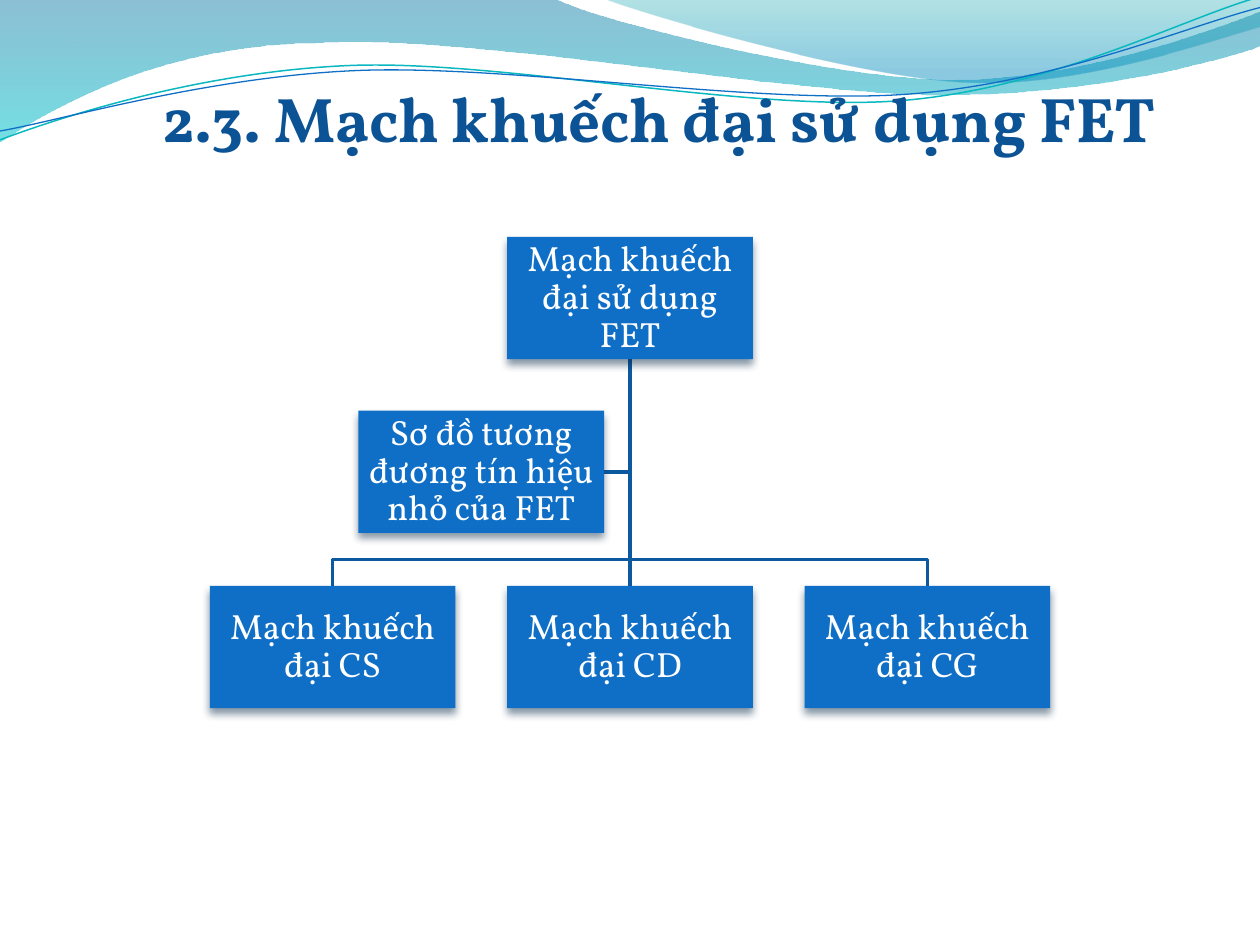
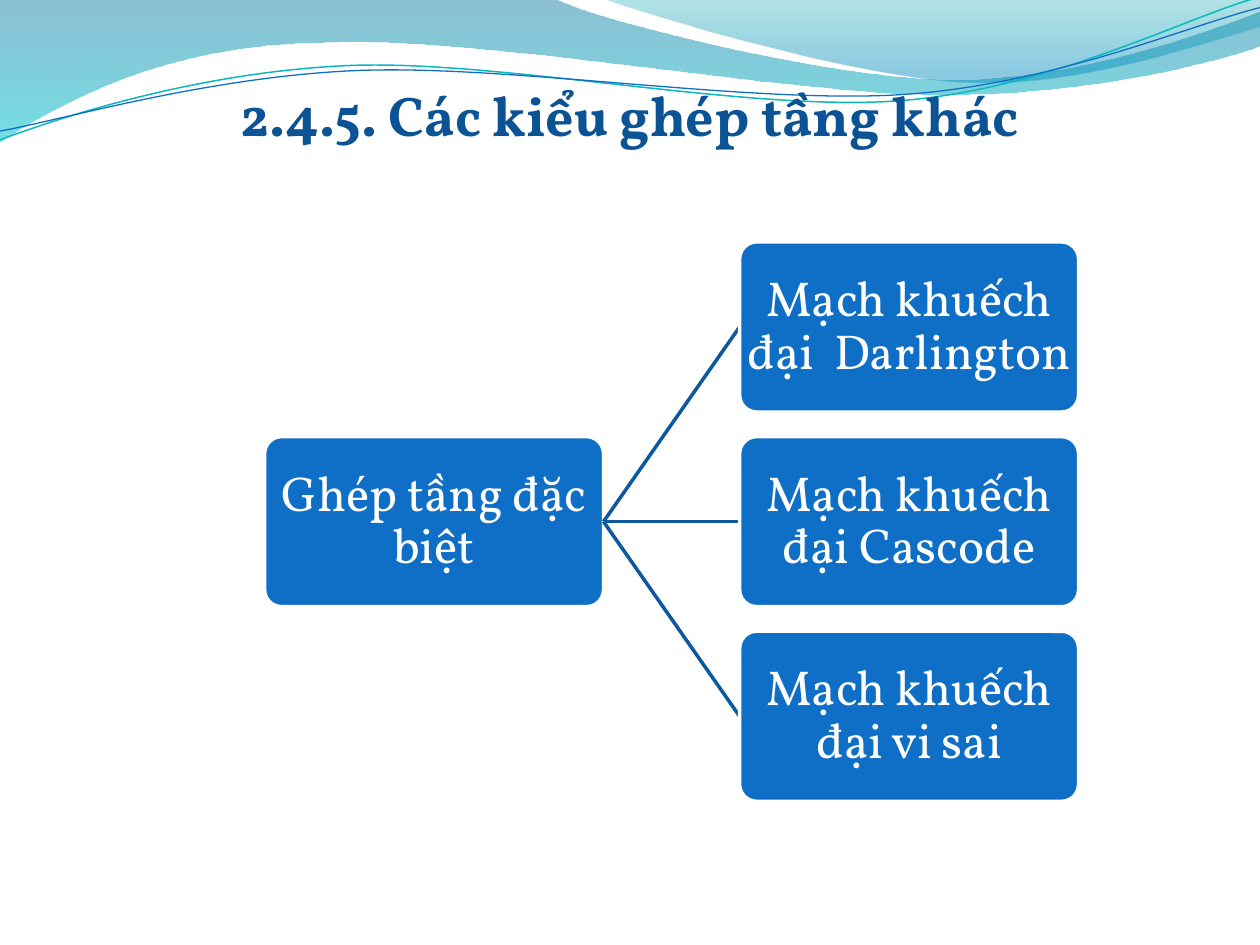
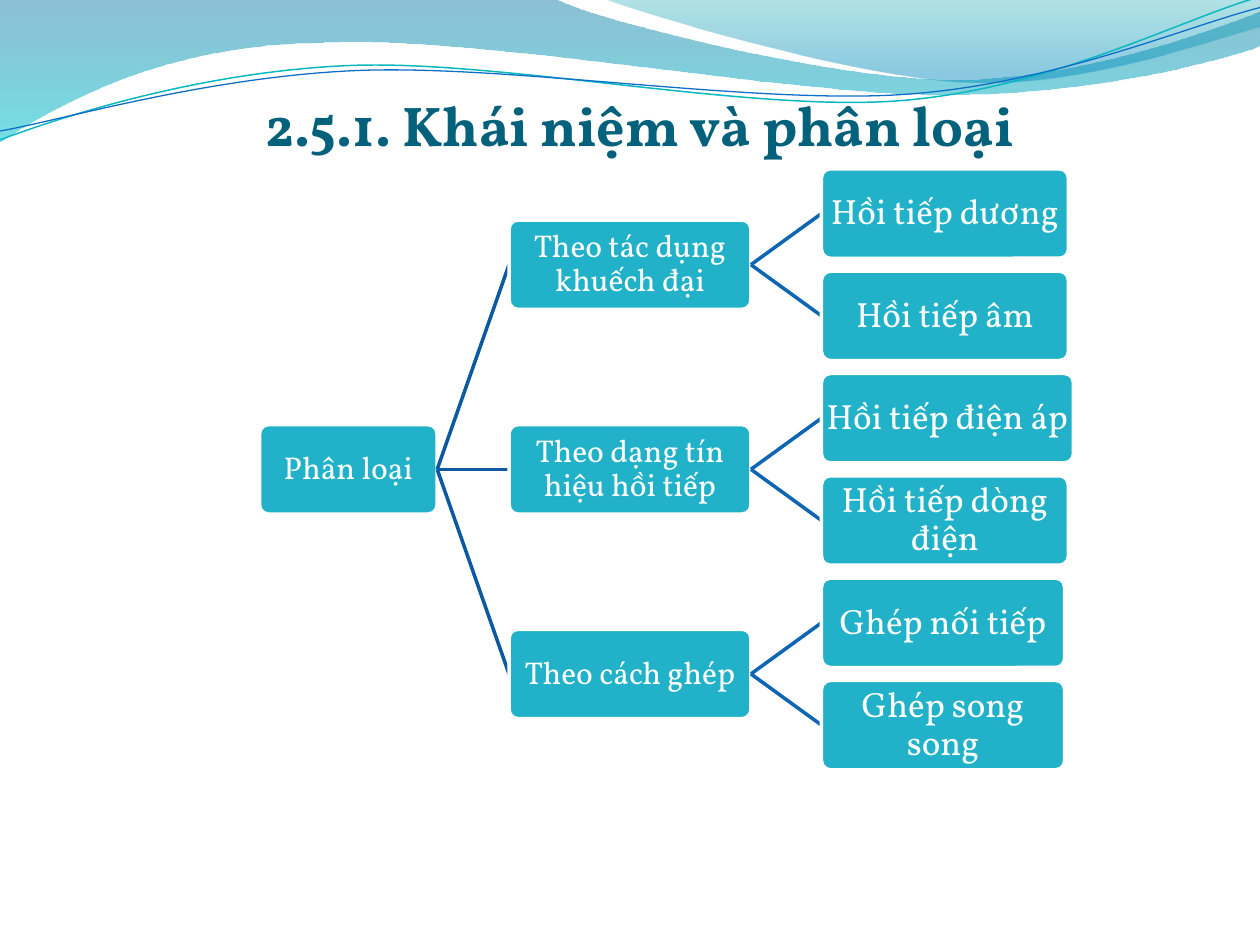
import math
from dataclasses import dataclass, field

from pptx import Presentation
from pptx import util as u
from pptx.dml.color import RGBColor
from pptx.enum import shapes, text
from pptx.oxml import ns, xmlchemy

PX = 9144
SLIDE_WIDTH, SLIDE_HEIGHT = 1000, 750
FONT = "Vollkorn"

WHITE = RGBColor(0xFF, 0xFF, 0xFF)
BLUE = RGBColor(0x0F, 0x6F, 0xC6)
TEAL = RGBColor(0x21, 0xB2, 0xC9)
AQUA = RGBColor(0x0A, 0xB8, 0xBF)
NAVY_TITLE = RGBColor(0x0B, 0x53, 0x94)
TEAL_TITLE = RGBColor(0x04, 0x61, 0x7B)
NAVY_LINE = RGBColor(0x0C, 0x59, 0x9F)
BLUE_LINE = RGBColor(0x0E, 0x65, 0xB4)
SHADOW = RGBColor(0x04, 0x27, 0x47)
BAND_TOP = RGBColor(0x00, 0x74, 0xA1)
BAND_BOTTOM = RGBColor(0x00, 0xC6, 0xCF)
CREST_TOP = RGBColor(0x00, 0xA1, 0xA9)
CREST_BOTTOM = RGBColor(0x00, 0x8B, 0xBF)

WAVE_FILLS = [
    ([[(0, -1)], [(440, -1)],
      [(476, 17), (664, 63), (758, 63)], [(853, 63), (958, 26), (1000, 9)],
      [(1001, 36)],
      [(983, 44), (870, 76), (746, 75)], [(622, 75), (382, 28), (257, 34)],
      [(129, 35), (46, 83), (-1, 113)]],
     [(0, BAND_TOP, 45), (1, BAND_BOTTOM, 55)]),
    ([[(479, -1)],
      [(509, 11), (682, 62), (769, 65)], [(856, 69), (961, 32), (1000, 21)],
      [(1000, 0)]],
     [(0, CREST_TOP, 30), (0.8, CREST_BOTTOM, 45)]),
]
WAVE_TILT = -2.7
WAVE_PIVOT = (499, 58)
WAVE_LINES = [
    ([[(0, 111)], [(48, 93), (158, 57), (277, 52)],
      [(395, 47), (593, 89), (713, 80)], [(833, 71), (938, 15), (998, -2)]],
     AQUA, 0.85),
    ([[(0, 104)], [(47, 96), (164, 61), (283, 56)],
      [(403, 51), (597, 83), (717, 75)], [(836, 67), (941, 21), (1000, 6)]],
     BLUE, 0.75),
]


@dataclass
class Node:
    label: str
    width: int
    children: list = field(default_factory=list)
    top: float = 0


CHART_TITLE = ("2.3. Mạch khuếch đại sử dụng FET", (73, 58, 900, 65), 36, NAVY_TITLE)
CHART_ROOT = "Mạch khuếch đại sử dụng FET"
CHART_ASSISTANT = "Sơ đồ tương đương tín hiệu nhỏ của FET"
CHART_LEAVES = ["Mạch khuếch đại CS", "Mạch khuếch đại CD", "Mạch khuếch đại CG"]
CHART_BOX = (195, 97)
CHART_CENTER, CHART_STEP = 500, 236
CHART_ROWS = (188, 326, 465)
CHART_BUS = 444

TREES = [
    dict(
        title=("2.4.5. Các kiểu ghép tầng khác", (50, 58, 900, 59), 32, NAVY_TITLE),
        root=Node("Ghép tầng đặc biệt", 269, [
            Node("Mạch khuếch đại  Darlington", 269),
            Node("Mạch khuếch đại Cascode", 269),
            Node("Mạch khuếch đại vi sai", 269),
        ]),
        leaf_count=3, first_top=192, last_top=501, height=135,
        columns=[(210, 28), (587, 28)], fill=BLUE, inset=2,
    ),
    dict(
        title=("2.5.1. Khái niệm và phân loại", (58, 58, 900, 67), 32, TEAL_TITLE),
        root=Node("Phân loại", 141, [
            Node("Theo tác dụng khuếch đại", 192, [
                Node("Hồi tiếp dương", 196), Node("Hồi tiếp âm", 196)]),
            Node("Theo dạng tín hiệu hồi tiếp", 192, [
                Node("Hồi tiếp điện áp", 200), Node("Hồi tiếp dòng điện", 196)]),
            Node("Theo cách ghép", 192, [
                Node("Ghép nối tiếp", 193), Node("Ghép song song", 193)]),
        ]),
        leaf_count=6, first_top=134, last_top=540, height=71,
        columns=[(206, 18), (404, 18), (652, 20)], fill=TEAL, inset=1,
    ),
]
LEVEL_LINES = [NAVY_LINE, BLUE_LINE]


def emu(*lengths):
    return [round(length * PX) for length in lengths]


def add_child(parent, tag, **attributes):
    child = xmlchemy.OxmlElement(tag)
    for name, value in attributes.items():
        child.set(name, str(value))
    parent.append(child)
    return child


def write(frame, words, size, color, anchor, insets, bold=False):
    frame.word_wrap = True
    frame.vertical_anchor = anchor
    (frame.margin_left, frame.margin_top,
     frame.margin_right, frame.margin_bottom) = emu(*insets)
    paragraph = frame.paragraphs[0]
    paragraph.text = words
    paragraph.alignment = text.PP_ALIGN.CENTER
    paragraph.font.name = FONT
    paragraph.font.size = u.Pt(size)
    paragraph.font.bold = bold
    paragraph.font.color.rgb = color
    return paragraph


def add_title(slide, words, place, size, color):
    shape = slide.shapes.add_textbox(*emu(*place))
    write(shape.text_frame, words, size, color, text.MSO_ANCHOR.BOTTOM,
          (0, 5, 0, 0), bold=True)


def add_box(slide, preset, place, words, size, fill, inset):
    shape = slide.shapes.add_shape(preset, *emu(*place))
    shape.shadow.inherit = False
    shape.fill.solid()
    shape.fill.fore_color.rgb = fill
    paragraph = write(shape.text_frame, words, size, WHITE,
                      text.MSO_ANCHOR.MIDDLE, [inset] * 4)
    paragraph.line_spacing = 0.9
    return shape


def add_outline(slide, steps, close=False):
    start, *others = [emu(*point) for step in steps for point in step]
    builder = slide.shapes.build_freeform(*start)
    builder.add_line_segments(others, close=close)
    shape = builder.convert_to_shape()
    shape.shadow.inherit = False
    segments = shape._element.spPr.iter(ns.qn("a:lnTo"))
    segments = iter(list(segments))
    for step in steps[1:]:
        lines = [next(segments) for _ in step]
        if len(step) == 3:
            curve = xmlchemy.OxmlElement("a:cubicBezTo")
            lines[0].addprevious(curve)
            for line in lines:
                curve.append(line[0])
                line.getparent().remove(line)
    return shape


def add_line(slide, steps, color, width):
    shape = add_outline(slide, steps)
    shape.fill.background()
    shape.line.color.rgb = color
    shape.line.width = u.Pt(width)
    return shape


def turn(point, degrees):
    angle = math.radians(degrees)
    x, y = (value - pivot for value, pivot in zip(point, WAVE_PIVOT))
    return (WAVE_PIVOT[0] + x * math.cos(angle) - y * math.sin(angle),
            WAVE_PIVOT[1] + x * math.sin(angle) + y * math.cos(angle))


def add_waves(slide):
    for steps, stops in WAVE_FILLS:
        shape = add_outline(slide, steps, close=True)
        shape.line.fill.background()
        shape.fill.gradient()
        shape.fill.gradient_angle = 270
        for stop, (position, color, _) in zip(shape.fill.gradient_stops, stops):
            stop.position = position
            stop.color.rgb = color
        colors = shape._element.spPr.iter(ns.qn("a:srgbClr"))
        for element, (_, _, opacity) in zip(colors, stops):
            add_child(element, "a:alpha", val=opacity * 1000)
    for steps, color, width in WAVE_LINES:
        level_steps = [[turn(point, -WAVE_TILT) for point in step] for step in steps]
        add_line(slide, level_steps, color, width).rotation = WAVE_TILT


def add_slide(presentation, title):
    slide = presentation.slides.add_slide(presentation.slide_layouts[6])
    add_waves(slide)
    add_title(slide, *title)
    return slide


def add_chart_box(slide, center, top, words):
    width, height = CHART_BOX
    shape = add_box(slide, shapes.MSO_SHAPE.RECTANGLE,
                    (center - width / 2, top, width, height), words, 20, BLUE, 1)
    shape.line.fill.background()
    effects = shape._element.spPr.find(ns.qn("a:effectLst"))
    shadow = add_child(effects, "a:outerShdw", blurRad=u.Pt(4.5), dist=u.Pt(3),
                       dir=90 * 60000, algn="ctr", rotWithShape=0)
    color = add_child(shadow, "a:srgbClr", val=SHADOW)
    add_child(color, "a:alpha", val=48000)


def build_org_chart(presentation):
    slide = add_slide(presentation, CHART_TITLE)
    width, height = CHART_BOX
    root_top, assistant_top, leaf_top = CHART_ROWS
    leaf_centers = [CHART_CENTER + CHART_STEP * i for i in (-1, 0, 1)]
    assistant_center = CHART_CENTER - CHART_STEP / 2
    middle = assistant_top + height / 2

    routes = [[(CHART_CENTER, middle), (assistant_center + width / 2, middle)]]
    for x in leaf_centers:
        bends = [(CHART_CENTER, CHART_BUS), (x, CHART_BUS)] if x != CHART_CENTER else []
        routes.append([*bends, (x, leaf_top)])
    for route in routes:
        points = [(CHART_CENTER, root_top + height), *route]
        add_line(slide, [[point] for point in points], NAVY_LINE, 2)

    add_chart_box(slide, CHART_CENTER, root_top, CHART_ROOT)
    for center, words in zip(leaf_centers, CHART_LEAVES):
        add_chart_box(slide, center, leaf_top, words)
    add_chart_box(slide, assistant_center, assistant_top, CHART_ASSISTANT)


def arrange(node, leaf_tops):
    for child in node.children:
        arrange(child, leaf_tops)
    if node.children:
        node.top = (node.children[0].top + node.children[-1].top) / 2
    else:
        node.top = next(leaf_tops)


def draw_branch(slide, tree, node, level=0):
    left, size = tree["columns"][level]
    height = tree["height"]
    shape = add_box(slide, shapes.MSO_SHAPE.ROUNDED_RECTANGLE,
                    (left, node.top, node.width, height),
                    node.label, size, tree["fill"], tree["inset"])
    shape.adjustments[0] = 0.1
    shape.line.color.rgb = WHITE
    shape.line.width = u.Pt(2)
    for child in node.children:
        connector = slide.shapes.add_connector(
            shapes.MSO_CONNECTOR.STRAIGHT,
            *emu(left + node.width, node.top + height / 2,
                 tree["columns"][level + 1][0], child.top + height / 2))
        connector.line.color.rgb = LEVEL_LINES[level]
        connector.line.width = u.Pt(2)
        add_child(connector._element.spPr, "a:effectLst")
        draw_branch(slide, tree, child, level + 1)


def build_tree(presentation, tree):
    slide = add_slide(presentation, tree["title"])
    step = (tree["last_top"] - tree["first_top"]) / (tree["leaf_count"] - 1)
    arrange(tree["root"],
            (tree["first_top"] + step * i for i in range(tree["leaf_count"])))
    draw_branch(slide, tree, tree["root"])


def main():
    presentation = Presentation()
    presentation.slide_width, presentation.slide_height = emu(SLIDE_WIDTH, SLIDE_HEIGHT)
    build_org_chart(presentation)
    for tree in TREES:
        build_tree(presentation, tree)
    presentation.save("out.pptx")


if __name__ == "__main__":
    main()
